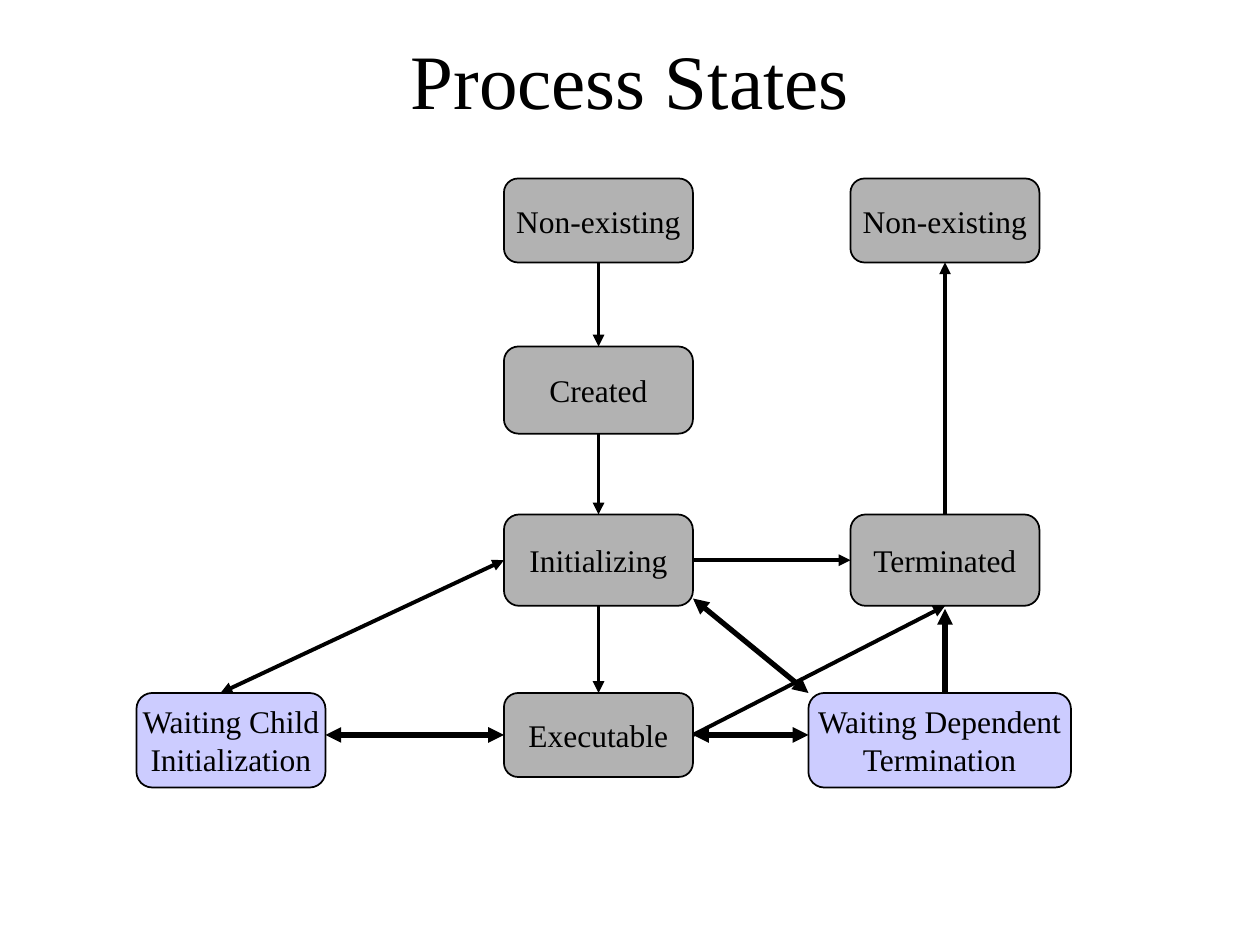
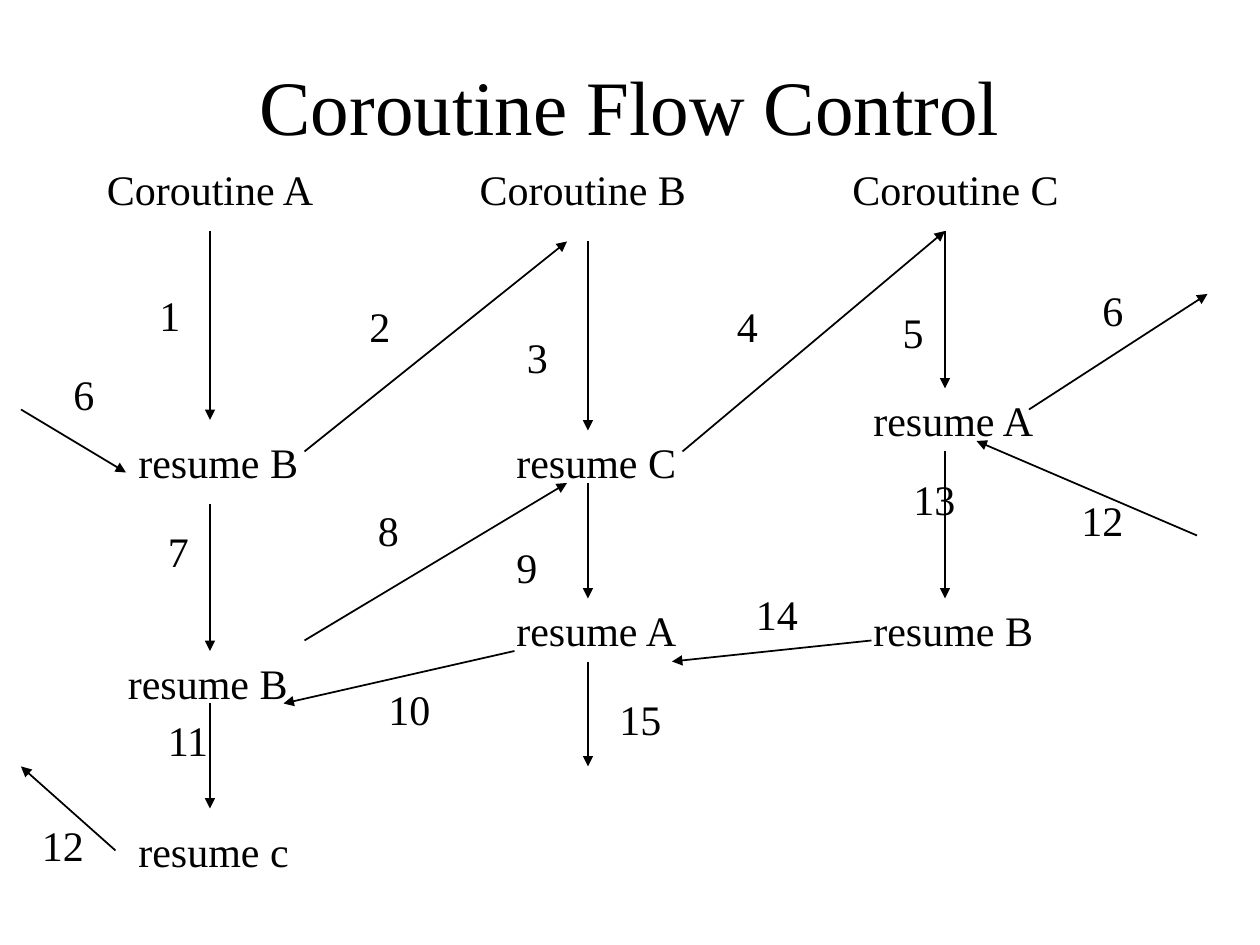
from lxml import etree
from pptx import Presentation, util as u
from pptx.dml.color import RGBColor
from pptx.enum import shapes, text
from pptx.oxml.ns import qn

PX = 7620  # EMU in one px, 120 px to the inch
FONT = "Times New Roman"
COLORS = {"ink": "000000", "state": "B2B2B2", "waiting": "CCCCFF"}
TOP, LEFT, BOTTOM, RIGHT = range(4)

# name: (lines, (left, top, width, height), fill)
STATES = {
    "unborn": (["Non-existing"], (480, 170, 180, 80), "state"),
    "gone": (["Non-existing"], (810, 170, 180, 80), "state"),
    "created": (["Created"], (480, 330, 180, 83), "state"),
    "initializing": (["Initializing"], (480, 490, 180, 87), "state"),
    "terminated": (["Terminated"], (810, 490, 180, 87), "state"),
    "executable": (["Executable"], (480, 660, 180, 80), "state"),
    "child": (["Waiting Child", "Initialization"], (130, 660, 180, 90), "waiting"),
    "dependent": (["Waiting Dependent", "Termination"], (770, 660, 250, 90), "waiting"),
}

# An end is a (state, side) pair or an (x, y) point: (start, end, weight, two-way)
TRANSITIONS = [
    (("unborn", BOTTOM), ("created", TOP), 2.25, False),
    (("created", BOTTOM), ("initializing", TOP), 2.25, False),
    (("initializing", BOTTOM), ("executable", TOP), 2.25, False),
    (("initializing", RIGHT), ("terminated", LEFT), 2.25, False),
    (("executable", RIGHT), ("terminated", BOTTOM), 2.25, False),
    (("terminated", TOP), ("gone", BOTTOM), 2.25, False),
    ((310, 700), ("executable", LEFT), 3, True),
    (("executable", RIGHT), (770, 700), 3, True),
    ((900, 660), (900, 580), 3, False),
    ((770, 660), (660, 570), 3, True),
    ((210, 660), ("initializing", LEFT), 2.25, True),
]

# Each step: labels as (text, left, top), arrows as (start, end)
STEPS = [
    ([("Coroutine A", 90, 150), ("Coroutine B", 445, 150), ("Coroutine C", 800, 150)], []),
    ([("1", 140, 270)], [((200, 220), (200, 400))]),
    ([("resume B", 120, 410), ("2", 340, 280)], [((290, 430), (540, 230))]),
    ([("3", 490, 310)], [((560, 230), (560, 410))]),
    ([("5", 848, 286)], [((900, 220), (900, 370))]),
    ([("resume A", 820, 370), ("6", 1038, 265), ("6", 58, 345)],
     [((980, 390), (1150, 280)), ((20, 390), (120, 450))]),
    ([("7", 148, 495)], [((200, 480), (200, 620))]),
    ([("resume B", 110, 620), ("8", 348, 475)], [((290, 610), (540, 460))]),
    ([("resume C", 480, 410), ("4", 690, 280)], [((650, 430), (900, 220))]),
    ([("9", 480, 510)], [((560, 460), (560, 570))]),
    ([("resume A", 480, 570), ("10", 358, 645)], [((490, 620), (270, 670))]),
    ([("11", 148, 675)], [((200, 670), (200, 770))]),
    ([("resume c", 120, 780), ("12", 28, 775), ("12", 1018, 465)],
     [((110, 810), (20, 730)), ((1140, 510), (930, 420))]),
    ([("13", 858, 445)], [((900, 430), (900, 570))]),
    ([("resume B", 820, 570), ("14", 708, 555)], [((830, 610), (640, 630))]),
    ([("15", 578, 655)], [((560, 630), (560, 730))]),
]
WIDTH_BY_LENGTH = {1: 43, 2: 64, 8: 177, 11: 221}
NARROW_LABELS = {"resume c": 167}


def emu(*lengths):
    return [u.Emu(length * PX) for length in lengths]


def color(name):
    return RGBColor.from_string(COLORS[name])


def write(frame, lines, size, align=text.PP_ALIGN.CENTER,
          anchor=text.MSO_ANCHOR.MIDDLE, wrap=False, fit=text.MSO_AUTO_SIZE.NONE):
    frame.word_wrap = wrap
    frame.auto_size = fit
    frame.vertical_anchor = anchor
    for index, line in enumerate(lines):
        paragraph = frame.add_paragraph() if index else frame.paragraphs[0]
        paragraph.alignment = align
        run = paragraph.add_run()
        run.text = line
        run.font.name, run.font.size = FONT, u.Pt(size)
        run.font.color.rgb = color("ink")


def add_titled_slide(deck, title, top):
    slide = deck.slides.add_slide(deck.slide_layouts[5])
    heading = slide.shapes.title
    heading.left, heading.top, heading.width, heading.height = emu(90, top, 1020, 150)
    write(heading.text_frame, [title], 44, wrap=True)
    return slide


def add_arrow(parent, start, end, weight=1, two_way=False):
    arrow = parent.add_connector(shapes.MSO_CONNECTOR.STRAIGHT, *emu(*start, *end))
    arrow.line.width = u.Pt(weight)
    arrow.line.color.rgb = color("ink")
    outline = arrow.line._get_or_add_ln()
    for tip in ["headEnd", "tailEnd"] if two_way else ["tailEnd"]:
        etree.SubElement(outline, qn("a:" + tip), type="triangle")
    etree.SubElement(arrow._element.spPr, qn("a:effectLst"))
    return arrow


def add_state(parent, lines, place, fill):
    state = parent.add_shape(shapes.MSO_SHAPE.ROUNDED_RECTANGLE, *emu(*place))
    state.shadow.inherit = False
    state.fill.solid()
    state.fill.fore_color.rgb = color(fill)
    state.line.color.rgb = color("ink")
    state.line.width = u.Pt(1)
    write(state.text_frame, lines, 18)
    return state


def add_label(parent, words, left, top):
    width = NARROW_LABELS.get(words, WIDTH_BY_LENGTH[len(words)])
    label = parent.add_textbox(*emu(left, top, width, 60))
    write(label.text_frame, [words], 24, align=text.PP_ALIGN.LEFT,
          anchor=text.MSO_ANCHOR.TOP, fit=text.MSO_AUTO_SIZE.SHAPE_TO_FIT_TEXT)


def build_process_states(deck):
    parts = add_titled_slide(deck, "Process States", 0).shapes
    states = {name: add_state(parts, *state) for name, state in STATES.items()}
    for start, end, weight, two_way in TRANSITIONS:
        points = [(0, 0) if place[0] in states else place for place in (start, end)]
        arrow = add_arrow(parts, *points, weight, two_way)
        for place, connect in ((start, arrow.begin_connect), (end, arrow.end_connect)):
            if place[0] in states:
                connect(states[place[0]], place[1])


def build_coroutine_flow(deck):
    slide = add_titled_slide(deck, "Coroutine Flow Control", 25)
    for labels, arrows in STEPS:
        step = slide.shapes.add_group_shape().shapes
        for label in labels:
            add_label(step, *label)
        for start, end in arrows:
            add_arrow(step, start, end)


def main():
    deck = Presentation()
    deck.slide_width, deck.slide_height = emu(1200, 900)
    build_process_states(deck)
    build_coroutine_flow(deck)
    deck.save("out.pptx")


if __name__ == "__main__":
    main()
